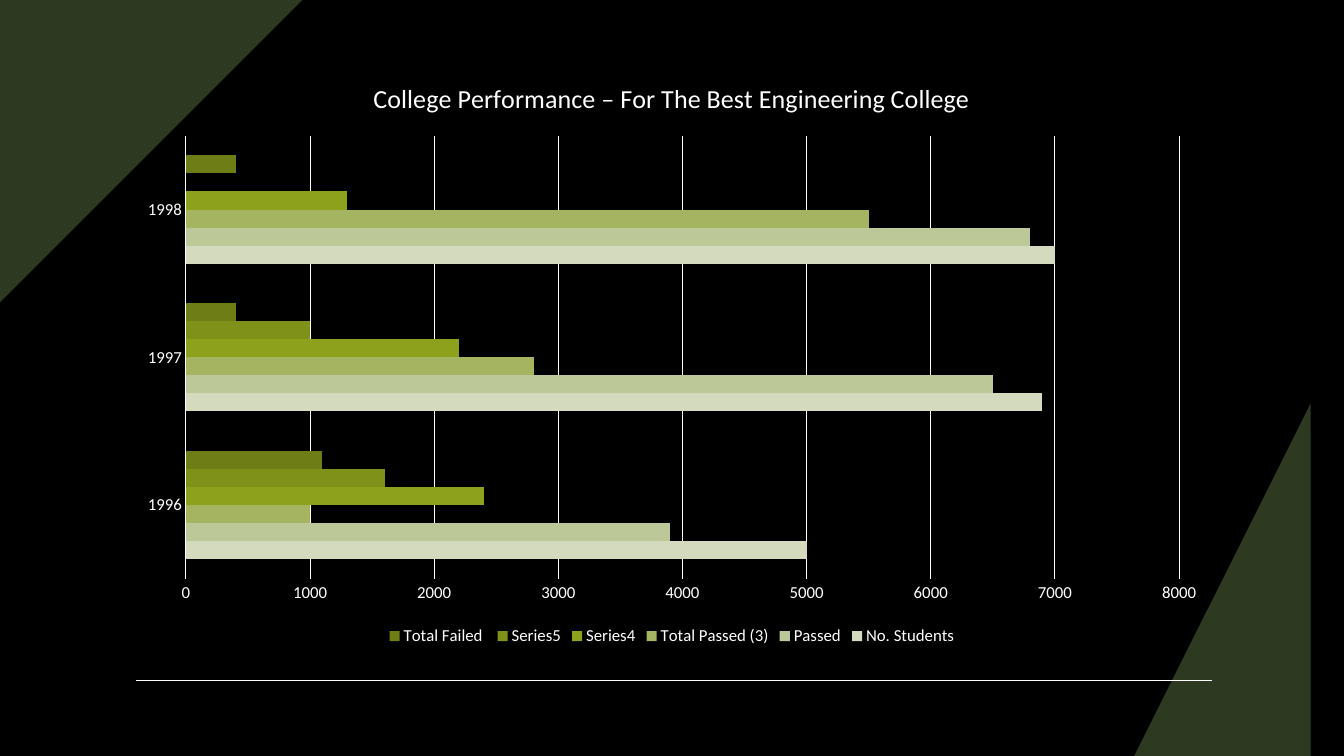
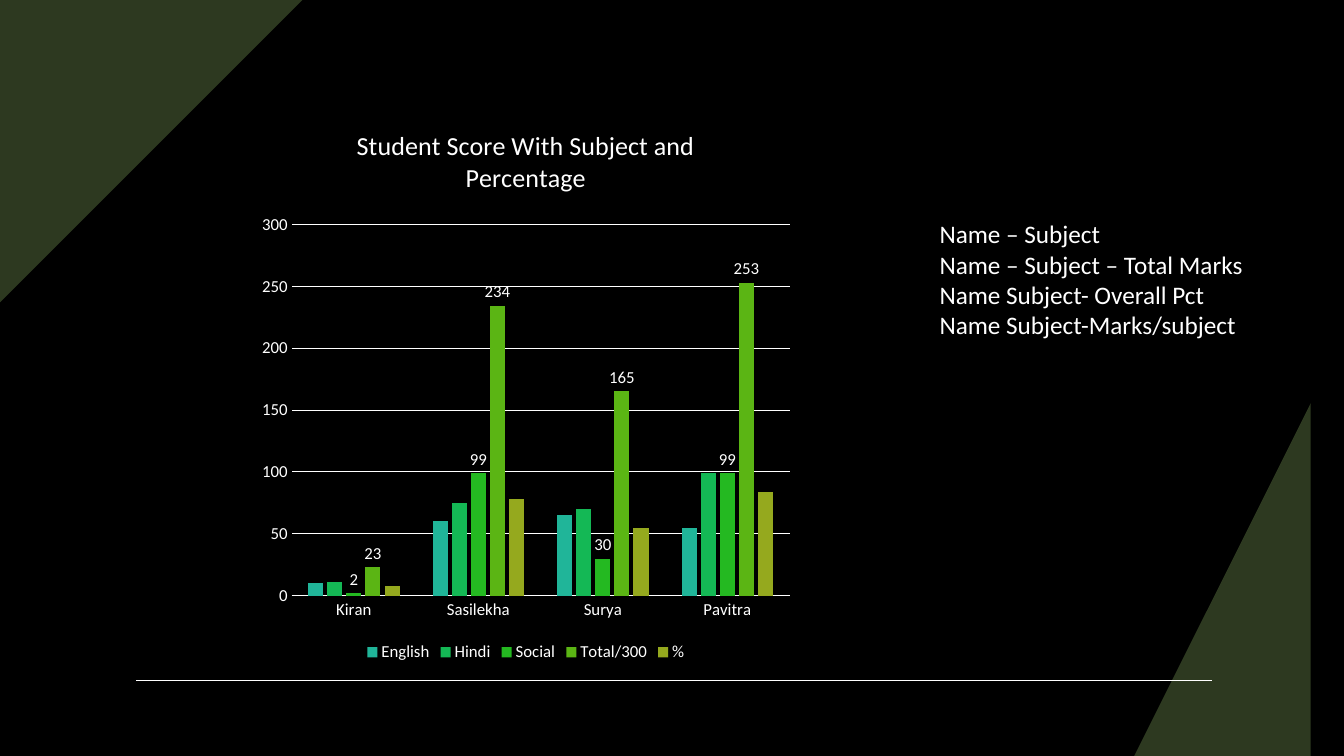
from dataclasses import dataclass

from lxml import etree
from pptx import Presentation
from pptx.chart.data import CategoryChartData
from pptx.dml.color import RGBColor
from pptx.enum.chart import XL_CHART_TYPE, XL_LABEL_POSITION, XL_LEGEND_POSITION, XL_TICK_MARK
from pptx.enum.shapes import MSO_CONNECTOR
from pptx.enum.text import MSO_AUTO_SIZE
from pptx.oxml.ns import qn
from pptx.util import Inches, Pt


@dataclass(frozen=True)
class Theme:
    font: str = "Calibri"
    back: str = "000000"
    wedge: str = "2D3920"
    ink: str = "FFFFFF"
    title: float = 18.6
    body: float = 18
    chart: float = 12
    rule: float = 1
    grid: float = 0.75


THEME = Theme()
W, H = 13.33, 7.5
WEDGE_W, WEDGE_H = 0.2 * W, 3.05
RULE_X, RULE_Y = 1.35, 0.9 * H

# Each series: name, values, colour, whether its values are labelled
COLLEGE = {
    "type": XL_CHART_TYPE.BAR_CLUSTERED,
    "title": "College Performance – For The Best Engineering College",
    "box": (1.25, 0.58, 10.83, 5.87),
    "scale": (8000, 1000),
    "overlap": 0,
    "categories": ["1996", "1997", "1998"],
    "series": [
        ("No. Students", (5000, 6900, 7000), "D3DABD", False),
        ("Passed", (3900, 6500, 6800), "BDC898", False),
        ("Total Passed (3)", (1000, 2800, 5500), "A4B460", False),
        ("Series4", (2400, 2200, 1300), "8EA11D", False),
        ("Series5", (1600, 1000, None), "80911A", False),
        ("Total Failed ", (1100, 400, 400), "6E7D16", False),
    ],
}
SCORES = {
    "type": XL_CHART_TYPE.COLUMN_CLUSTERED,
    "title": "Student Score With Subject and Percentage",
    "box": (2.49, 1.05, 5.45, 5.56),
    "scale": (300, 50),
    "overlap": -27,
    "categories": ["Kiran", "Sasilekha", "Surya", "Pavitra"],
    "series": [
        ("English", (10, 60, 65, 55), "20B599", False),
        ("Hindi", (11, 75, 70, 99), "14B855", False),
        ("Social", (2, 99, 30, 99), "24B921", True),
        ("Total/300", (23, 234, 165, 253), "5BB514", True),
        ("%", (8, 78, 55, 84), "95A91E", False),
    ],
}
NOTES_BOX = (9.22, 2.12, 4.11, 1.31)
NOTES = [
    "Name – Subject",
    "Name – Subject – Total Marks",
    "Name Subject- Overall Pct",
    "Name Subject-Marks/subject",
]


def inches(box):
    return [Inches(v) for v in box]


def paint(fill, color):
    fill.solid()
    fill.fore_color.rgb = RGBColor.from_string(color)


def style_line(line, width):
    line.color.rgb = RGBColor.from_string(THEME.ink)
    line.width = Pt(width)


def style_font(font, size):
    font.name = THEME.font
    font.size = Pt(size)
    font.bold = False
    font.color.rgb = RGBColor.from_string(THEME.ink)


def add_wedge(s, corners):
    builder = s.shapes.build_freeform(*corners[0], scale=Inches(1))
    builder.add_line_segments(corners[1:], close=True)
    sp = builder.convert_to_shape()
    sp.shadow.inherit = False
    paint(sp.fill, THEME.wedge)
    sp.line.fill.background()
    return sp


def add_rule(s):
    ends = inches((RULE_X, RULE_Y, W - RULE_X + 0.04, RULE_Y))
    rule = s.shapes.add_connector(MSO_CONNECTOR.STRAIGHT, *ends)
    style_line(rule.line, THEME.rule)
    etree.SubElement(rule.element.spPr, qn("a:effectLst"))
    return rule


def decorate_layout(prs, layout, s):
    """Draw the shared decoration on a slide, then move it to the layout."""
    paint(prs.slide_master.background.fill, THEME.back)
    for ph in list(layout.placeholders):
        layout.shapes.element.remove(ph.element)
    parts = [
        add_wedge(s, [(W, H - WEDGE_H), (W, H), (W - WEDGE_W, H)]),
        add_wedge(s, [(0, WEDGE_H), (0, 0), (WEDGE_W, 0)]),
        add_rule(s),
    ]
    for part in parts:
        layout.shapes.element.append(part.element)


def add_chart(s, spec_):
    data = CategoryChartData()
    data.categories = spec_["categories"]
    for name, values, _, _ in spec_["series"]:
        data.add_series(name, values)
    chart = s.shapes.add_chart(spec_["type"], *inches(spec_["box"]), data).chart
    style_font(chart.font, THEME.chart)

    chart.has_title = True
    r = chart.chart_title.text_frame.paragraphs[0].add_run()
    r.text = spec_["title"]
    style_font(r.font, THEME.title)

    chart.has_legend = True
    chart.legend.position = XL_LEGEND_POSITION.BOTTOM
    chart.legend.include_in_layout = False
    style_font(chart.legend.font, THEME.chart)

    for axis in (chart.category_axis, chart.value_axis):
        axis.major_tick_mark = axis.minor_tick_mark = XL_TICK_MARK.NONE
        style_font(axis.tick_labels.font, THEME.chart)
    style_line(chart.category_axis.format.line, THEME.grid)
    value_axis = chart.value_axis
    value_axis.format.line.fill.background()
    value_axis.minimum_scale = 0
    value_axis.maximum_scale, value_axis.major_unit = spec_["scale"]
    value_axis.has_major_gridlines = True
    style_line(value_axis.major_gridlines.format.line, THEME.grid)

    plot = chart.plots[0]
    plot.vary_by_categories = False
    plot.gap_width = 219
    plot.overlap = spec_["overlap"]
    for series, (_, _, color, labelled) in zip(plot.series, spec_["series"]):
        paint(series.format.fill, color)
        series.invert_if_negative = False
        if labelled:
            labels = series.data_labels
            labels.show_value = True
            labels.position = XL_LABEL_POSITION.OUTSIDE_END
            style_font(labels.font, THEME.chart)


def add_notes(s):
    tf = s.shapes.add_textbox(*inches(NOTES_BOX)).text_frame
    tf.word_wrap = True
    tf.auto_size = MSO_AUTO_SIZE.SHAPE_TO_FIT_TEXT
    for i, line in enumerate(NOTES):
        p = tf.add_paragraph() if i else tf.paragraphs[0]
        r = p.add_run()
        r.text = line
        style_font(r.font, THEME.body)


def main():
    prs = Presentation()
    prs.slide_width, prs.slide_height = inches((W, H))
    layout = prs.slide_layouts.get_by_name("Blank")
    college, scores = (prs.slides.add_slide(layout) for _ in range(2))
    decorate_layout(prs, layout, college)
    add_chart(college, COLLEGE)
    add_chart(scores, SCORES)
    add_notes(scores)
    prs.save("out.pptx")


if __name__ == "__main__":
    main()
